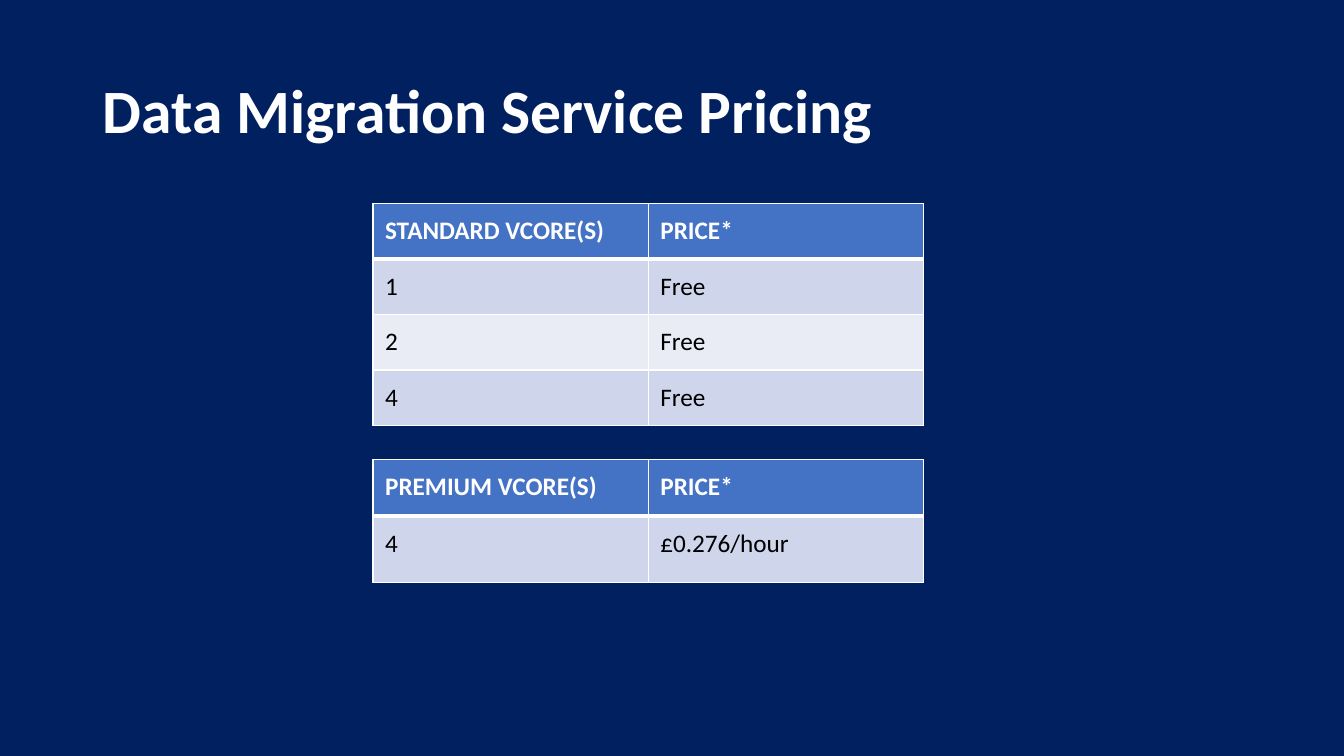
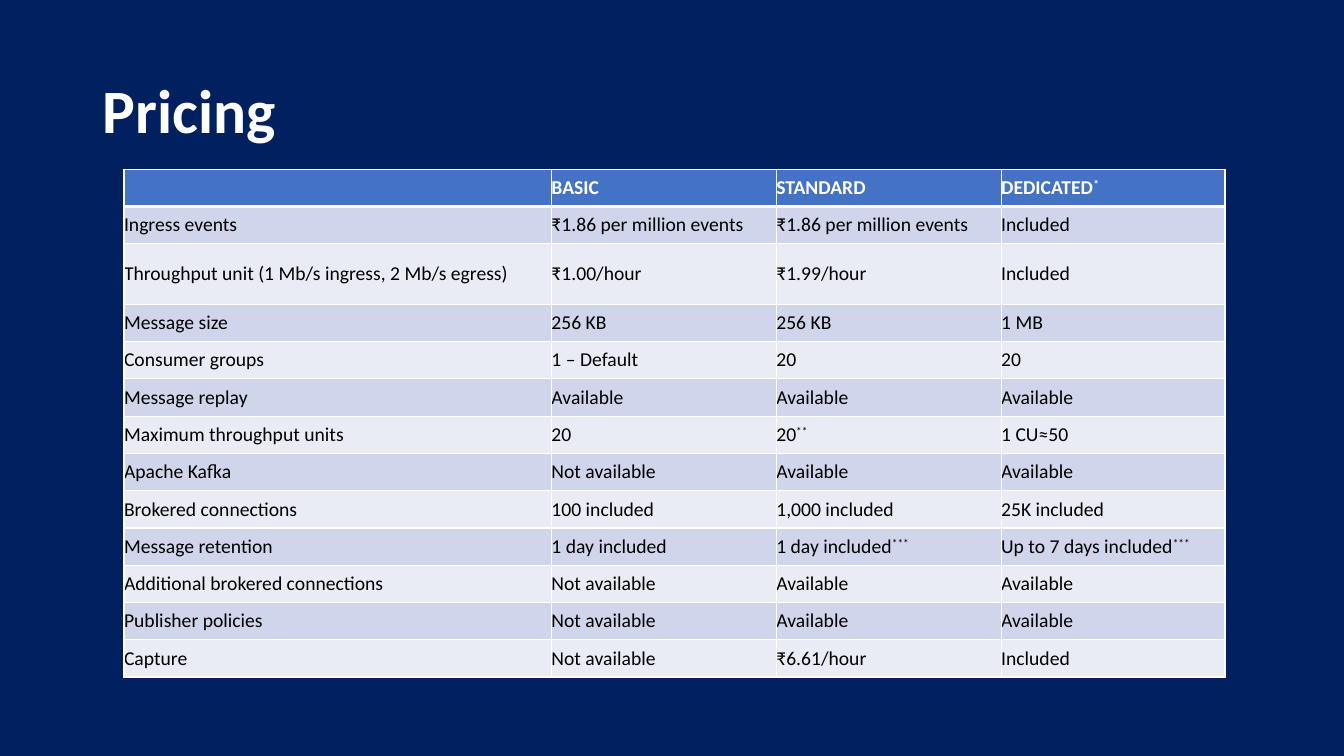
from lxml import etree
from pptx import Presentation
from pptx.dml.color import RGBColor
from pptx.enum.text import MSO_ANCHOR, PP_ALIGN
from pptx.oxml.ns import qn
from pptx.util import Inches, Pt

TOP, MIDDLE, LEFT = MSO_ANCHOR.TOP, MSO_ANCHOR.MIDDLE, PP_ALIGN.LEFT
TITLE_ONLY = 5

# Shared style
NAVY, WHITE, BLACK = "002060", "FFFFFF", "000000"
HEADER, BANDS = "4472C4", ("CFD5EA", "E9EBF5")
FONT = "Calibri"
TITLE_BOX = (0.92, 0.4, 11.5, 1.45)
THIN, THICK = 1, 3
SUPER = "^"  # text after this mark is raised

STANDARD_PRICES = [
    ("STANDARD VCORE(S)", "PRICE*"),
    ("1", "Free"),
    ("2", "Free"),
    ("4", "Free"),
]
PREMIUM_PRICES = [
    ("PREMIUM VCORE(S)", "PRICE*"),
    ("4", "£0.276/hour"),
]
TIERS = [
    ("", "BASIC", "STANDARD", "DEDICATED^*"),
    ("Ingress events", "₹1.86 per million events", "₹1.86 per million events", "Included"),
    ("Throughput unit (1 Mb/s ingress, 2 Mb/s egress)", "₹1.00/hour", "₹1.99/hour", "Included"),
    ("Message size", "256 KB", "256 KB", "1 MB"),
    ("Consumer groups", "1 – Default", "20", "20"),
    ("Message replay", "Available", "Available", "Available"),
    ("Maximum throughput units", "20", "20^**", "1 CU≈50"),
    ("Apache Kafka", "Not available", "Available", "Available"),
    ("Brokered connections", "100 included", "1,000 included", "25K included"),
    ("Message retention", "1 day included", "1 day included^***", "Up to 7 days included^***"),
    ("Additional brokered connections", "Not available", "Available", "Available"),
    ("Publisher policies", "Not available", "Available", "Available"),
    ("Capture", "Not available", "₹6.61/hour", "Included"),
]


def rgb(value):
    return RGBColor.from_string(value)


def set_font(font, color, **values):
    for name, value in {"name": FONT, **values}.items():
        setattr(font, name, value)
    font.color.rgb = rgb(color)


def add_titled_slide(prs, title):
    s = prs.slides.add_slide(prs.slide_layouts[TITLE_ONLY])
    s.background.fill.solid()
    s.background.fill.fore_color.rgb = rgb(NAVY)
    sp = s.shapes.title
    sp.left, sp.top, sp.width, sp.height = map(Inches, TITLE_BOX)
    tf = sp.text_frame
    tf.text = title
    tf.vertical_anchor = MIDDLE
    p = tf.paragraphs[0]
    p.alignment, p.line_spacing = LEFT, 0.9
    set_font(p.runs[0].font, WHITE, size=Pt(44), bold=True)
    return s


def set_borders(cell, top, bottom):
    tc_pr = cell._tc.get_or_add_tcPr()
    widths = {"a:lnL": THIN, "a:lnR": THIN, "a:lnT": top, "a:lnB": bottom}
    for tag, width in widths.items():
        ln = etree.SubElement(tc_pr, qn(tag), w=str(Pt(width)))
        fill = etree.SubElement(ln, qn("a:solidFill"))
        etree.SubElement(fill, qn("a:srgbClr"), val=WHITE)


def fill_cell(cell, text, row, size, inset, anchor):
    is_header = row == 0
    # Borders precede the fill in the cell properties
    set_borders(cell, THICK if row == 1 else THIN, THICK if is_header else THIN)
    cell.fill.solid()
    cell.fill.fore_color.rgb = rgb(HEADER if is_header else BANDS[(row - 1) % 2])
    for side in ("left", "right", "top", "bottom"):
        setattr(cell, f"margin_{side}", Inches(inset))
    cell.vertical_anchor = anchor
    p = cell.text_frame.paragraphs[0]
    p.font.size = Pt(size)
    base, _, raised = text.partition(SUPER)
    for part, baseline in ((base, None), (raised, "30000")):
        if part:
            r = p.add_run()
            r.text = part
            set_font(r.font, WHITE if is_header else BLACK, size=Pt(size), bold=is_header)
            if baseline:
                r._r.get_or_add_rPr().set("baseline", baseline)


def add_price_table(s, left, top, widths, heights, data, size, inset, anchor):
    box = map(Inches, (left, top, sum(widths), sum(heights)))
    table = s.shapes.add_table(len(data), len(widths), *box).table
    for column, width in zip(table.columns, widths):
        column.width = Inches(width)
    for row, height in zip(table.rows, heights):
        row.height = Inches(height)
    for i, texts in enumerate(data):
        for j, text in enumerate(texts):
            fill_cell(table.cell(i, j), text, i, size, inset, anchor)


def add_migration_slide(prs):
    s = add_titled_slide(prs, "Data Migration Service Pricing")
    tables = ((2.02, [0.55] * 4, STANDARD_PRICES), (4.56, [0.56, 0.66], PREMIUM_PRICES))
    for top, heights, data in tables:
        add_price_table(s, 3.7, top, [2.73] * 2, heights, data, 18, 0.12, TOP)


def add_tiers_slide(prs):
    s = add_titled_slide(prs, "Pricing")
    heights = [0.6 if i == 2 else 0.37 for i in range(len(TIERS))]
    add_price_table(s, 1.23, 1.68, [4.24, 2.23, 2.23, 2.22], heights, TIERS, 14, 0, MIDDLE)


def main():
    prs = Presentation()
    prs.slide_width, prs.slide_height = Inches(13.33), Inches(7.5)
    add_migration_slide(prs)
    add_tiers_slide(prs)
    prs.save("out.pptx")


if __name__ == "__main__":
    main()
